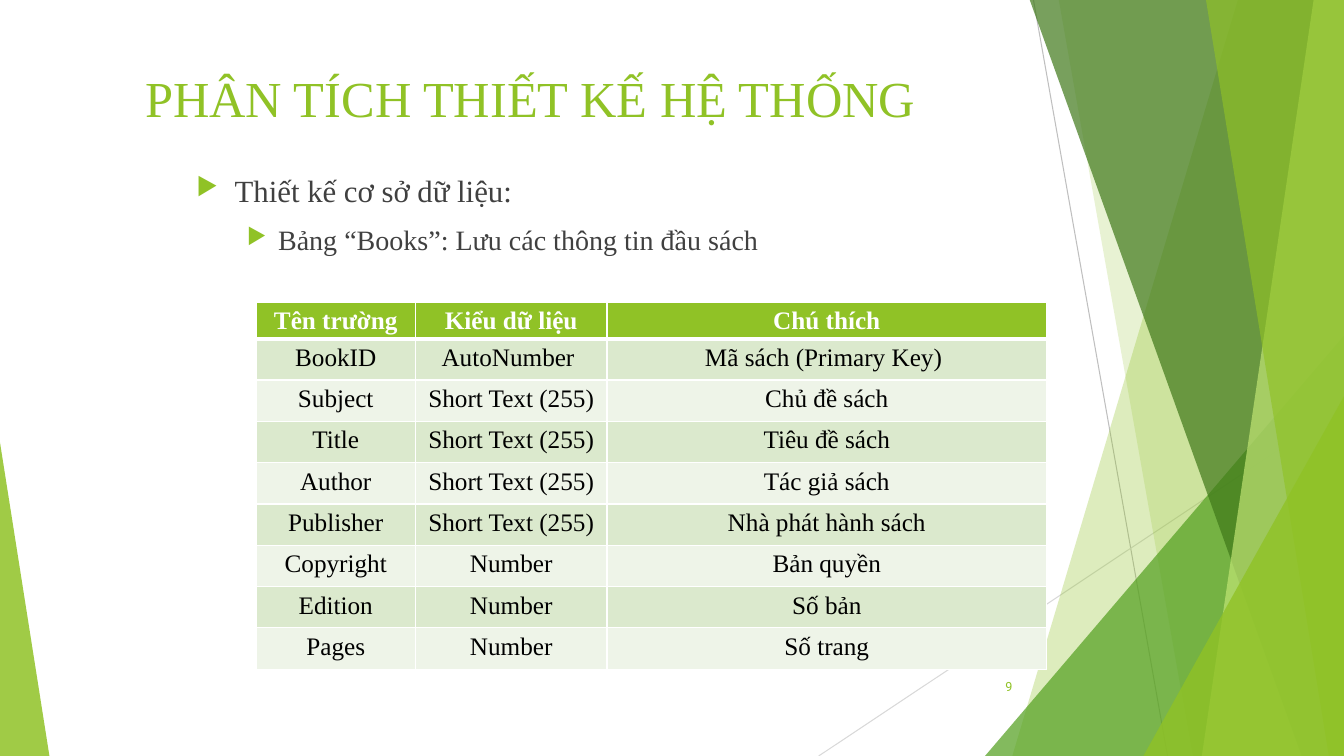
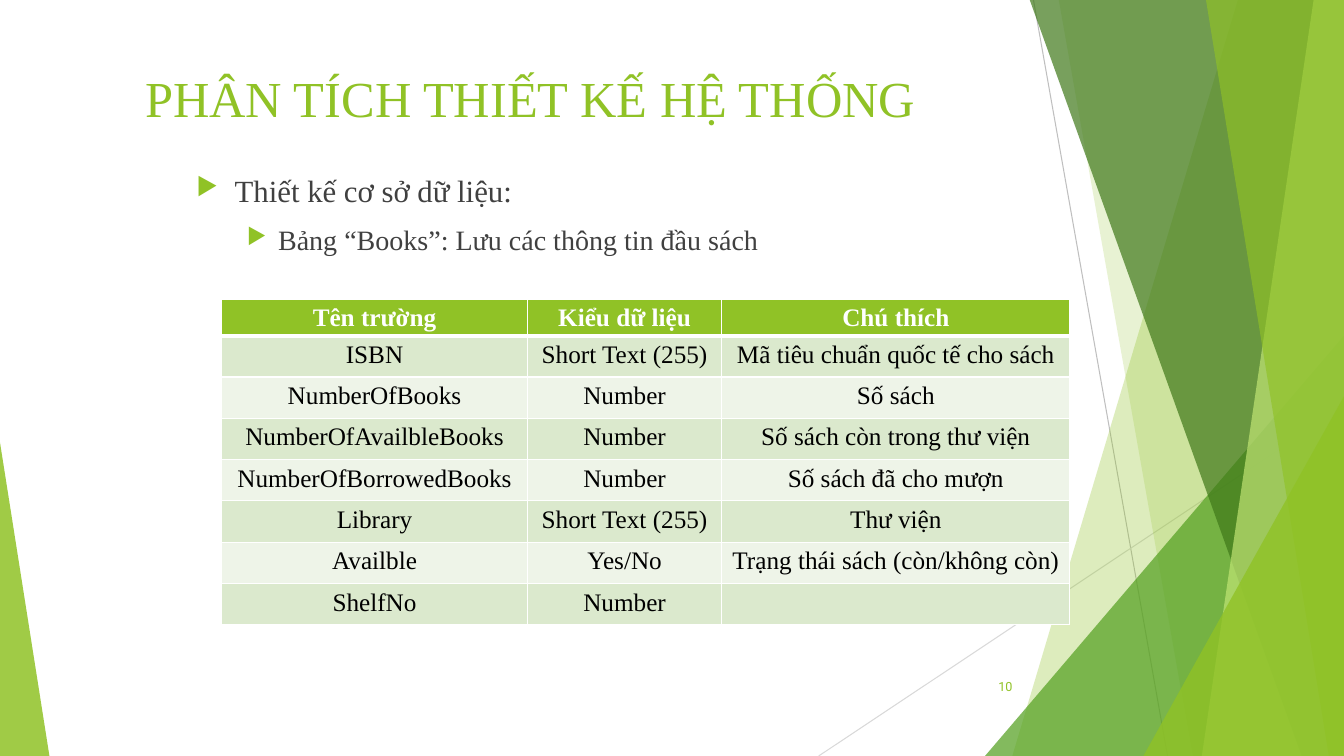
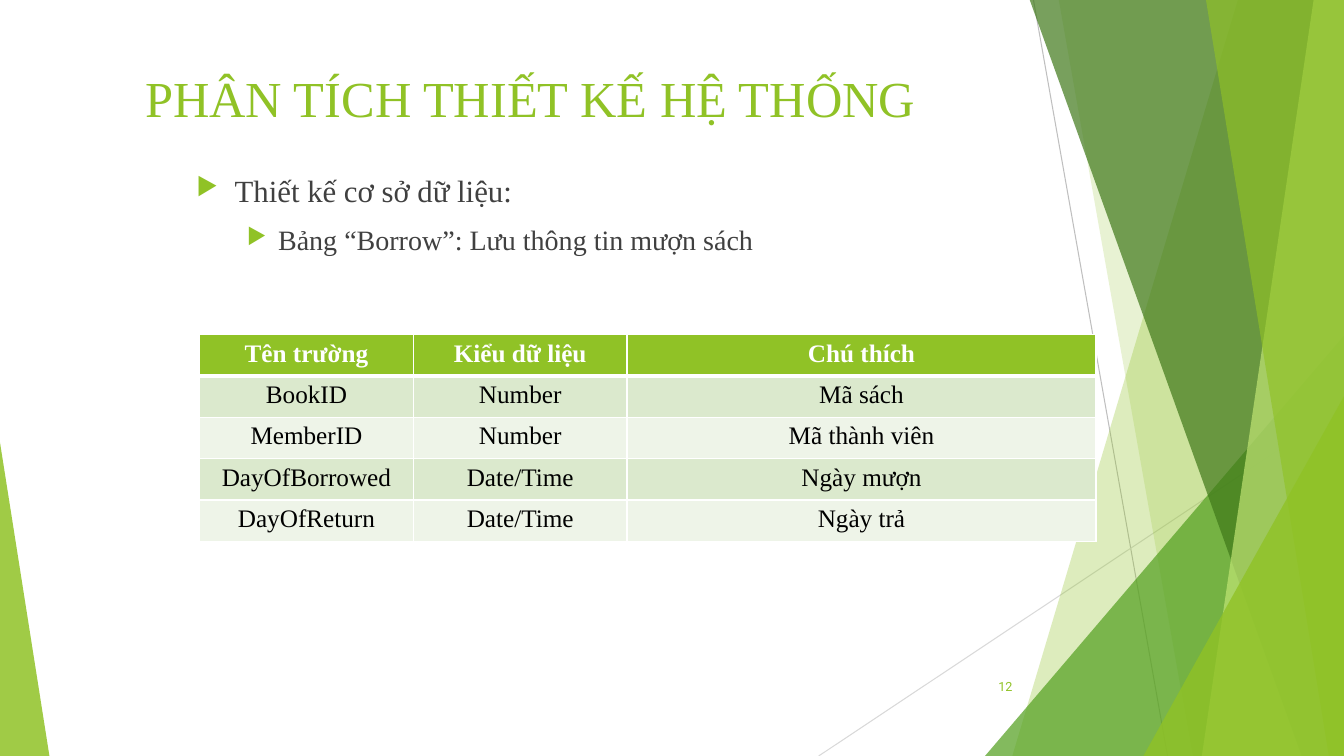
from dataclasses import dataclass

from pptx import Presentation
from pptx.dml.color import RGBColor
from pptx.enum.shapes import MSO_CONNECTOR, MSO_SHAPE
from pptx.enum.text import MSO_ANCHOR, PP_ALIGN
from pptx.oxml import parse_xml
from pptx.oxml.ns import nsdecls, qn
from pptx.oxml.xmlchemy import OxmlElement
from pptx.shapes.autoshape import Shape
from pptx.slide import Slide
from pptx.table import _Cell
from pptx.text.text import TextFrame, _Paragraph
from pptx.util import Inches, Pt

COLORS = {
    "lime": "90C226",
    "green": "54A021",
    "forest": "3F7819",
    "pale": "C0E474",
    "text": "404040",
    "black": "000000",
    "white": "FFFFFF",
    "band_dark": "DBE9CD",
    "band_light": "EEF4E8",
    "ray_dark": "BFBFBF",
    "ray_light": "D9D9D9",
}
SERIF = "Times New Roman"
WIDTH, HEIGHT = 13.33, 7.5
BLEED = -0.01
TITLE = "PHÂN TÍCH THIẾT KẾ HỆ THỐNG"
TOPIC = "Thiết kế cơ sở dữ liệu:"
HEADINGS = ("Tên trường", "Kiểu dữ liệu", "Chú thích")
ROW_HEIGHT = 0.41
SHORT_TEXT = "Short Text (255)"


@dataclass(frozen=True)
class Ray:
    start: tuple[float, float]
    end: tuple[float, float]
    color: str


@dataclass(frozen=True)
class Blade:
    top_left: float
    bottom_left: float
    color: str
    opacity: int


@dataclass(frozen=True)
class Wedge:
    left: float
    top: float
    width: float
    apex: float
    color: str
    opacity: int


@dataclass(frozen=True)
class Bullet:
    text: str
    size: int
    margin: float
    hanging: float
    level: int = 0


@dataclass(frozen=True)
class FieldTable:
    number: int
    summary: str
    left: float
    top: float
    columns: tuple[float, ...]
    header_height: float
    fields: tuple[tuple[str, str, str], ...]


RAYS = (
    Ray((10.25, 0), (11.58, HEIGHT), "ray_dark"),
    Ray((WIDTH, 4.03), (8.12, HEIGHT), "ray_light"),
)
FACETS = (
    Blade(12.28, 10.04, "lime", 30),
    Blade(10.5, 11.83, "lime", 20),
    Wedge(9.77, 3.33, 3.56, 1, "green", 72),
    Blade(10.21, 12.91, "forest", 70),
    Blade(13.03, 11.92, "pale", 70),
    Blade(11.96, 13.18, "lime", 65),
    Wedge(11.34, 3.93, 1.99, 1, "lime", 80),
    Wedge(0, 4.39, 0.49, 0, "lime", 85),
)
TABLES = (
    FieldTable(
        9, "Bảng “Books”: Lưu các thông tin đầu sách",
        2.54, 3, (1.58, 1.9, 4.36), 0.36,
        (
            ("BookID", "AutoNumber ", "Mã sách (Primary Key) "),
            ("Subject", SHORT_TEXT, "Chủ đề sách"),
            ("Title", SHORT_TEXT, "Tiêu đề sách"),
            ("Author", SHORT_TEXT, "Tác giả sách"),
            ("Publisher", SHORT_TEXT, "Nhà phát hành sách"),
            ("Copyright", "Number", "Bản quyền"),
            ("Edition", "Number", "Số bản"),
            ("Pages", "Number", "Số trang"),
        ),
    ),
    FieldTable(
        10, "Bảng “Books”: Lưu các thông tin đầu sách",
        2.2, 2.97, (3.03, 1.93, 3.45), 0.36,
        (
            ("ISBN", SHORT_TEXT, "Mã tiêu chuẩn quốc tế cho sách"),
            ("NumberOfBooks", "Number", "Số sách"),
            ("NumberOfAvailbleBooks", "Number", "Số sách còn trong thư viện"),
            ("NumberOfBorrowedBooks", "Number", "Số sách đã cho mượn"),
            ("Library", SHORT_TEXT, "Thư viện"),
            ("Availble", "Yes/No", "Trạng thái sách (còn/không còn)"),
            ("ShelfNo", "Number", ""),
        ),
    ),
    FieldTable(
        12, "Bảng “Borrow”: Lưu thông tin mượn sách",
        1.98, 3.32, (2.12, 2.12, 4.65), ROW_HEIGHT,
        (
            ("BookID", "Number", "Mã sách"),
            ("MemberID", "Number", "Mã thành viên"),
            ("DayOfBorrowed", "Date/Time", "Ngày mượn"),
            ("DayOfReturn", "Date/Time", "Ngày trả"),
        ),
    ),
)


def rgb(color: str) -> RGBColor:
    return RGBColor.from_string(COLORS[color])


def add_run(paragraph: _Paragraph, text: str, size: int, color: str,
            font: str = SERIF, bold: bool = False) -> None:
    run = paragraph.add_run()
    run.text = text
    run.font.name = font
    run.font.size = Pt(size)
    run.font.bold = bold
    run.font.color.rgb = rgb(color)


def add_frame(slide: Slide, left: float, top: float, width: float, height: float,
              anchor: MSO_ANCHOR = MSO_ANCHOR.TOP) -> TextFrame:
    frame = slide.shapes.add_textbox(
        Inches(left), Inches(top), Inches(width), Inches(height)).text_frame
    frame.word_wrap = True
    frame.vertical_anchor = anchor
    return frame


def tint(facet: Shape, color: str, opacity: int) -> None:
    facet.shadow.inherit = False
    facet.line.fill.background()
    facet.fill.solid()
    facet.fill.fore_color.rgb = rgb(color)
    alpha = OxmlElement("a:alpha")
    alpha.set("val", str(opacity * 1000))
    facet.fill._xPr.find(qn("a:solidFill"))[0].append(alpha)


def draw_ray(slide: Slide, ray: Ray) -> None:
    line = slide.shapes.add_connector(
        MSO_CONNECTOR.STRAIGHT, *(Inches(value) for value in ray.start + ray.end))
    line.line.color.rgb = rgb(ray.color)
    line.line.width = Pt(0.75)
    line._element.spPr.append(OxmlElement("a:effectLst"))


def draw_facet(slide: Slide, facet: Blade | Wedge) -> None:
    if isinstance(facet, Blade):
        corners = ((WIDTH, BLEED), (WIDTH, HEIGHT), (facet.bottom_left, HEIGHT))
        outline = slide.shapes.build_freeform(
            Inches(facet.top_left), Inches(BLEED))
        outline.add_line_segments([(Inches(x), Inches(y)) for x, y in corners])
        pane = outline.convert_to_shape()
    else:
        pane = slide.shapes.add_shape(
            MSO_SHAPE.ISOSCELES_TRIANGLE, Inches(facet.left), Inches(facet.top),
            Inches(facet.width), Inches(HEIGHT - facet.top))
        pane.adjustments[0] = facet.apex
    tint(pane, facet.color, facet.opacity)


def draw_bullet(paragraph: _Paragraph, bullet: Bullet) -> None:
    paragraph.level = bullet.level
    paragraph.space_before = Pt(10)
    properties = paragraph._p.get_or_add_pPr()
    properties.set("marL", str(Inches(bullet.margin)))
    properties.set("indent", str(-Inches(bullet.hanging)))
    for markup in (
        f'<a:buClr {nsdecls("a")}><a:srgbClr val="{COLORS["lime"]}"/></a:buClr>',
        f'<a:buSzPct {nsdecls("a")} val="80000"/>',
        f'<a:buChar {nsdecls("a")} char="▶"/>',
    ):
        properties.append(parse_xml(markup))
    add_run(paragraph, bullet.text, bullet.size, "text")


def draw_frame(slide: Slide, summary: str, number: int) -> None:
    for ray in RAYS:
        draw_ray(slide, ray)
    for facet in FACETS:
        draw_facet(slide, facet)
    title = add_frame(slide, 1.34, 0.62, 9.75, 0.88)
    add_run(title.paragraphs[0], TITLE, 36, "lime")
    outline = add_frame(slide, 1.85, 1.65, 9.97, 5.52)
    draw_bullet(outline.paragraphs[0], Bullet(TOPIC, 22, 0.38, 0.38))
    draw_bullet(outline.add_paragraph(), Bullet(summary, 20, 0.81, 0.31, 1))
    page = add_frame(slide, 9.39, 6.61, 0.75, 0.4, MSO_ANCHOR.MIDDLE).paragraphs[0]
    page.alignment = PP_ALIGN.RIGHT
    add_run(page, str(number), 9, "lime", "Roboto")


def set_borders(cell: _Cell, row: int) -> None:
    widths = {"L": 1, "R": 1, "T": 3 if row == 1 else 1, "B": 3 if row == 0 else 1}
    properties = cell._tc.get_or_add_tcPr()
    for position, (side, width) in enumerate(widths.items()):
        properties.insert(position, parse_xml(
            f'<a:ln{side} {nsdecls("a")} w="{Pt(width)}"><a:solidFill>'
            f'<a:srgbClr val="{COLORS["white"]}"/></a:solidFill></a:ln{side}>'))


def draw_cell(cell: _Cell, text: str, row: int) -> None:
    is_header = row == 0
    band = "band_dark" if row % 2 else "band_light"
    cell.fill.solid()
    cell.fill.fore_color.rgb = rgb("lime" if is_header else band)
    cell.margin_left = cell.margin_right = Inches(0.07)
    cell.margin_top = Inches(0.05)
    cell.margin_bottom = Inches(0)
    set_borders(cell, row)
    paragraph = cell.text_frame.paragraphs[0]
    paragraph.alignment = PP_ALIGN.CENTER
    if text:
        add_run(paragraph, text, 18, "white" if is_header else "black", bold=is_header)


def draw_table(slide: Slide, content: FieldTable) -> None:
    records = (HEADINGS, *content.fields)
    heights = [content.header_height] + [ROW_HEIGHT] * len(content.fields)
    table = slide.shapes.add_table(
        len(records), len(HEADINGS), Inches(content.left), Inches(content.top),
        Inches(sum(content.columns)), Inches(sum(heights))).table
    for column, width in zip(table.columns, content.columns):
        column.width = Inches(width)
    for row, (record, height) in enumerate(zip(records, heights)):
        table.rows[row].height = Inches(height)
        for column, text in enumerate(record):
            draw_cell(table.cell(row, column), text, row)


def main() -> None:
    deck = Presentation()
    deck.slide_width, deck.slide_height = Inches(WIDTH), Inches(HEIGHT)
    for content in TABLES:
        slide = deck.slides.add_slide(deck.slide_layouts[6])
        draw_frame(slide, content.summary, content.number)
        draw_table(slide, content)
    deck.save("out.pptx")


main()
